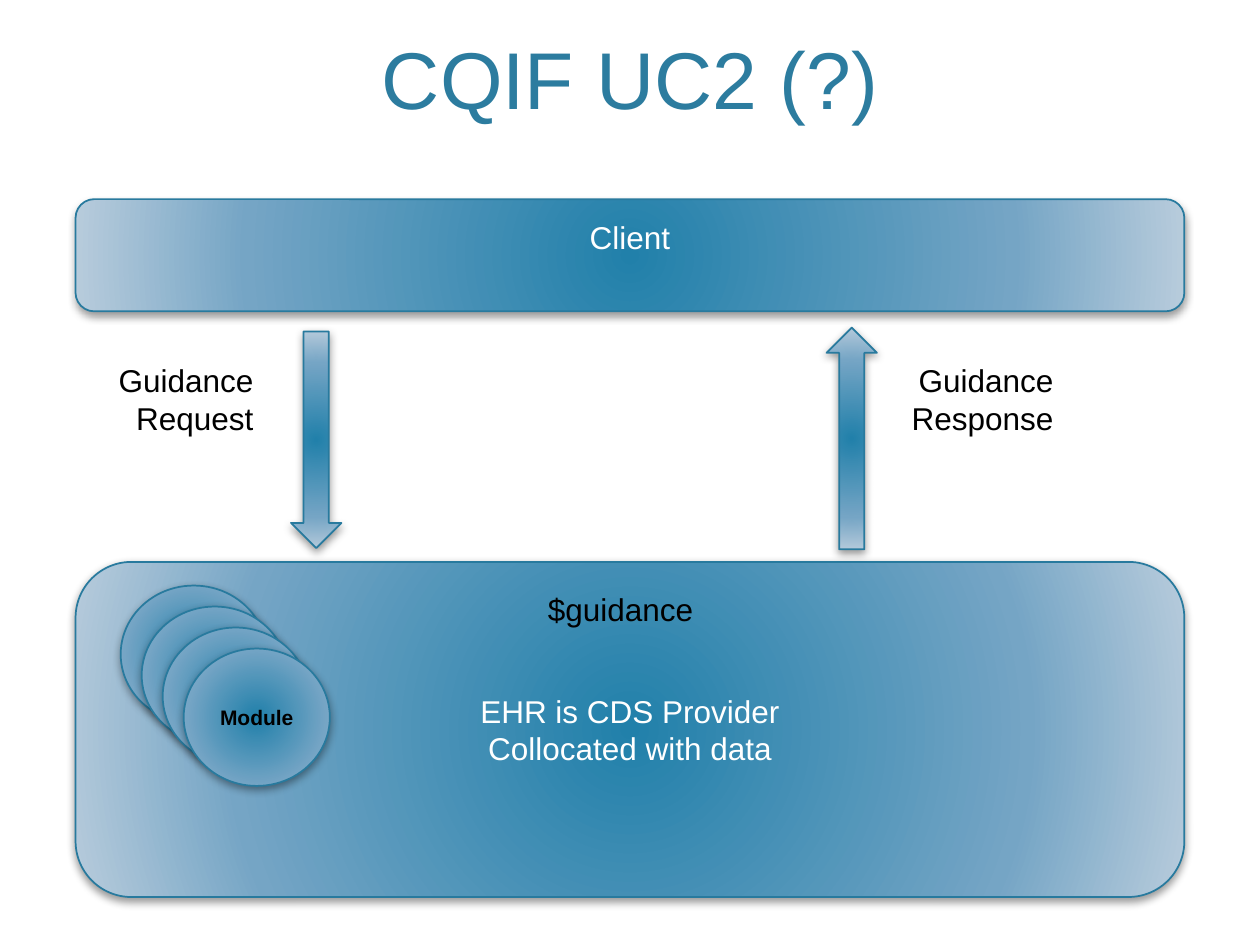
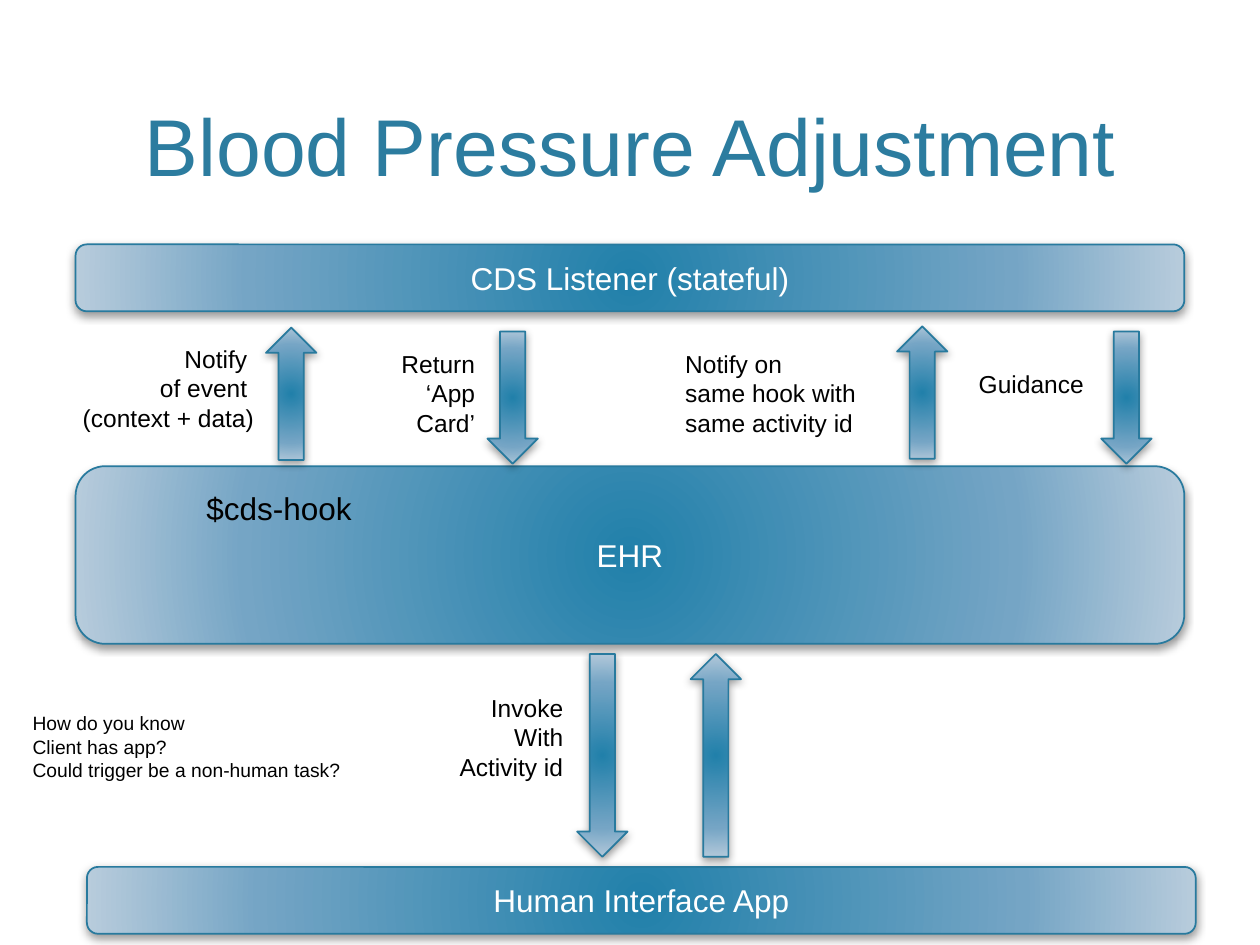
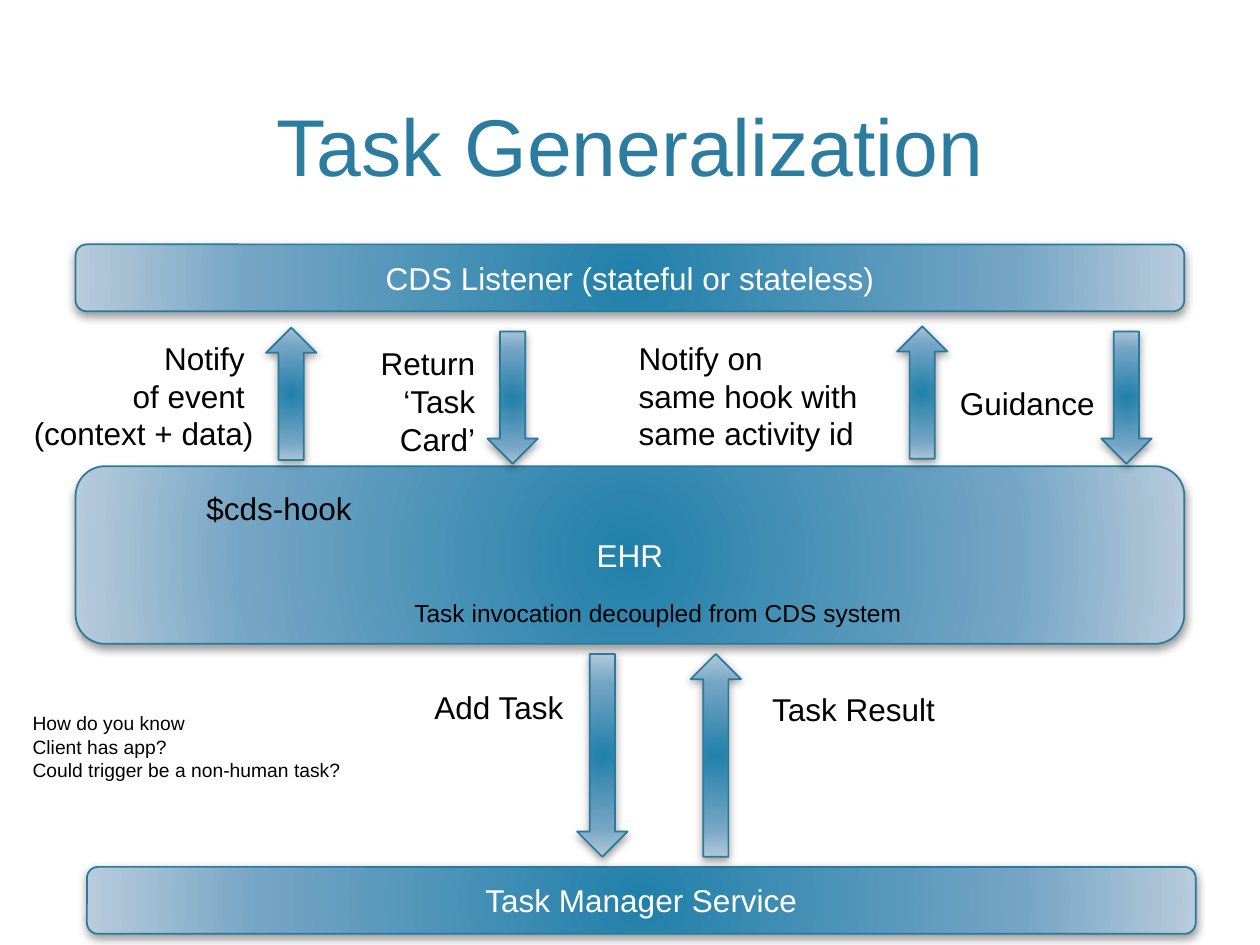
from pptx import Presentation
from pptx.dml.color import RGBColor
from pptx.enum.shapes import MSO_SHAPE
from pptx.enum.text import MSO_ANCHOR, MSO_AUTO_SIZE, PP_ALIGN
from pptx.oxml import parse_xml
from pptx.oxml.ns import nsdecls, qn
from pptx.util import Pt

LEFT, CENTER, RIGHT = PP_ALIGN.LEFT, PP_ALIGN.CENTER, PP_ALIGN.RIGHT
MIDDLE, BOTTOM = MSO_ANCHOR.MIDDLE, MSO_ANCHOR.BOTTOM
BAR, ARROW, CIRCLE = MSO_SHAPE.ROUNDED_RECTANGLE, MSO_SHAPE.DOWN_ARROW, MSO_SHAPE.OVAL
FIT_SHAPE, NO_FIT = MSO_AUTO_SIZE.SHAPE_TO_FIT_TEXT, MSO_AUTO_SIZE.NONE

FONT = "Arial"
COLORS = {
    "title": "2C7C9F",
    "outline": "287A9E",
    "core": "2180AA",
    "middle": "75A5C5",
    "edge": "B8CCDC",
    "light": "FFFFFF",
    "dark": "000000",
}

# Shared geometry, in points
BAR_LEFT, BAR_WIDTH = 43.2, 633.6
TITLE_TOP = 8.6
ARROW_WIDTH = 28.8
UP, DOWN = 180, 0

# Shared glow: radial gradient and soft shadow
GRADIENT = f"""<a:gradFill {nsdecls("a")} rotWithShape="1"><a:gsLst>
<a:gs pos="0"><a:srgbClr val="{COLORS['core']}"/></a:gs>
<a:gs pos="69000"><a:srgbClr val="{COLORS['middle']}"/></a:gs>
<a:gs pos="100000"><a:srgbClr val="{COLORS['edge']}"/></a:gs></a:gsLst>
<a:path path="circle"><a:fillToRect l="100000" t="100000" r="100000" b="100000"/></a:path>
</a:gradFill>"""
SHADOW = f"""<a:outerShdw {nsdecls("a")} blurRad="{Pt(5)}" dist="{Pt(2)}" dir="5400000"
rotWithShape="0"><a:srgbClr val="{COLORS['dark']}"><a:alpha val="40000"/></a:srgbClr></a:outerShdw>"""


def write(text_frame, lines, size, color, alignment, bold=False):
    """Write one paragraph per line."""
    for index, line in enumerate(lines):
        paragraph = text_frame.add_paragraph() if index else text_frame.paragraphs[0]
        paragraph.alignment = alignment
        run = paragraph.add_run()
        run.text = line
        run.font.name = FONT
        run.font.size = Pt(size)
        run.font.bold = bold
        run.font.color.rgb = RGBColor.from_string(COLORS[color])


def add_block(slide, kind, left, top, width, height, lines=(), size=18, color="light", bold=False):
    """Add a glowing shape with centred text."""
    shape = slide.shapes.add_shape(kind, Pt(left), Pt(top), Pt(width), Pt(height))
    shape.fill.gradient()
    properties = shape._element.spPr
    properties.replace(properties.find(qn("a:gradFill")), parse_xml(GRADIENT))
    shape.line.color.rgb = RGBColor.from_string(COLORS["outline"])
    shape.line.width = Pt(1)
    shape.shadow.inherit = False
    properties.find(qn("a:effectLst")).append(parse_xml(SHADOW))
    shape.text_frame.vertical_anchor = MIDDLE
    write(shape.text_frame, lines, size, color, CENTER, bold)
    return shape


presentation = Presentation()
presentation.slide_width, presentation.slide_height = Pt(720), Pt(540)

# Parts that the two hook slides share
HOOK_BARS = [(BAR_LEFT, 266.4, 101.5), (BAR_LEFT, 139.7, 38.2), (49.7, 495.4, 38.2)]
HOOK_ARROWS = [
    (152, 187.2, 75.6, UP), (278.6, 189.4, 75.6, DOWN),
    (512.6, 186.5, 75.6, UP), (629.3, 189.4, 75.6, DOWN),
    (394.6, 373.7, 115.9, UP), (329.8, 373.7, 115.9, DOWN),
]
NOTIFY = ["Notify ", "of event ", "(context + data)"]
NOTIFY_AGAIN = ["Notify on ", "same hook with ", "same activity id"]
HOOK_LABELS = [
    (["$cds-hook"], 110.9, 275.8, 103.7, 29.1, 18, LEFT, False),
    (["How do you know", "Client has app?", "Could trigger be a non-human task?"],
     11.5, 403.2, 202.3, 47.5, 11, LEFT, False),
]

# Bars: left, top, height, lines. Arrows: left, top, height, rotation.
# Labels: lines, left, top, width, height, size, alignment, wrap.
slides = [
    {
        "title": "CQIF UC2 (?)", "title_height": 67,
        "bars": [(BAR_LEFT, 321.1, 191.5, ["EHR is CDS Provider", "Collocated with data"]),
                 (BAR_LEFT, 113.8, 64.1, ["Client"])],
        "arrows": [(472.3, 187.2, 126.7, UP), (166.3, 189.4, 123.8, DOWN)],
        "labels": [
            (["Guidance", "Request"], 56.9, 203, 95, 50.9, 18, RIGHT, False),
            (["Guidance", "Response"], 511.9, 203, 97.2, 50.9, 18, RIGHT, False),
            (["$guidance"], 306, 333.4, 103.7, 29.1, 18, LEFT, False),
        ],
    },
    {
        "title": "Blood Pressure Adjustment", "title_height": 105.1,
        "bars": [(*box, [name]) for box, name in zip(
            HOOK_BARS, ["EHR", "CDS Listener (stateful)", "Human Interface App"])],
        "arrows": HOOK_ARROWS,
        "labels": HOOK_LABELS + [
            (NOTIFY, 30.6, 193, 121.7, 58.2, 14, RIGHT, False),
            (["Return ", "‘App", "Card’"], 219.6, 195.8, 59, 58.2, 14, RIGHT, False),
            (["Invoke", "With", "Activity id"], 213.8, 392.4, 115.2, 58.2, 14, RIGHT, True),
            (NOTIFY_AGAIN, 384.5, 195.8, 119.5, 58.2, 14, LEFT, False),
            (["Guidance"], 552.2, 207.4, 77, 24.2, 14, LEFT, False),
        ],
    },
    {
        "title": "Task Generalization", "title_height": 105.1,
        "bars": [(*box, [name]) for box, name in zip(
            HOOK_BARS, ["EHR", "CDS Listener (stateful or stateless)", "Task Manager Service"])],
        "arrows": HOOK_ARROWS,
        "labels": HOOK_LABELS + [
            (NOTIFY, 0, 190.1, 152, 72.7, 18, RIGHT, False),
            (["Return ", "‘Task", "Card’"], 206.6, 193, 72, 72.7, 18, RIGHT, False),
            (["Add Task"], 213.8, 389.5, 115.2, 29.1, 18, RIGHT, True),
            (NOTIFY_AGAIN, 357.8, 190.1, 149.8, 72.7, 18, LEFT, False),
            (["Guidance"], 541.4, 216, 95, 29.1, 18, LEFT, False),
            (["Task Result"], 426.2, 391, 115.2, 29.1, 18, RIGHT, True),
            (["Task invocation decoupled from CDS system"],
             229.7, 338.4, 312.5, 24.2, 14, LEFT, False),
        ],
    },
]

for content in slides:
    slide = presentation.slides.add_slide(presentation.slide_layouts[5])

    # Title
    title = slide.shapes.title
    title.left, title.top = Pt(BAR_LEFT), Pt(TITLE_TOP)
    title.width, title.height = Pt(BAR_WIDTH), Pt(content["title_height"])
    title.text_frame.vertical_anchor = BOTTOM
    title.text_frame.auto_size = NO_FIT
    write(title.text_frame, [content["title"]], 46, "title", CENTER)

    # System bars
    for left, top, height, lines in content["bars"]:
        bar = add_block(slide, BAR, left, top, BAR_WIDTH, height, lines)
        if lines == ["Client"]:
            bar.text_frame.margin_bottom = Pt(24.3)  # lifts the name above the middle

    # Message arrows
    for left, top, height, rotation in content["arrows"]:
        arrow = add_block(slide, ARROW, left, top, ARROW_WIDTH, height)
        arrow.rotation = rotation

    # Labels
    for lines, left, top, width, height, size, alignment, wrap in content["labels"]:
        label = slide.shapes.add_textbox(Pt(left), Pt(top), Pt(width), Pt(height))
        label.text_frame.word_wrap = wrap
        label.text_frame.auto_size = FIT_SHAPE
        write(label.text_frame, lines, size, "dark", alignment)

# Stack of modules on the first slide, with the name on the front one
MODULE_COUNT, MODULE_STEP = 4, 12
for index in range(MODULE_COUNT):
    offset = index * MODULE_STEP
    name = ["Module"] if index == MODULE_COUNT - 1 else []
    add_block(presentation.slides[0], CIRCLE, 69 + offset, 334.6 + offset, 83.5, 78.5,
              name, 12, "dark", True)

presentation.save("out.pptx")
